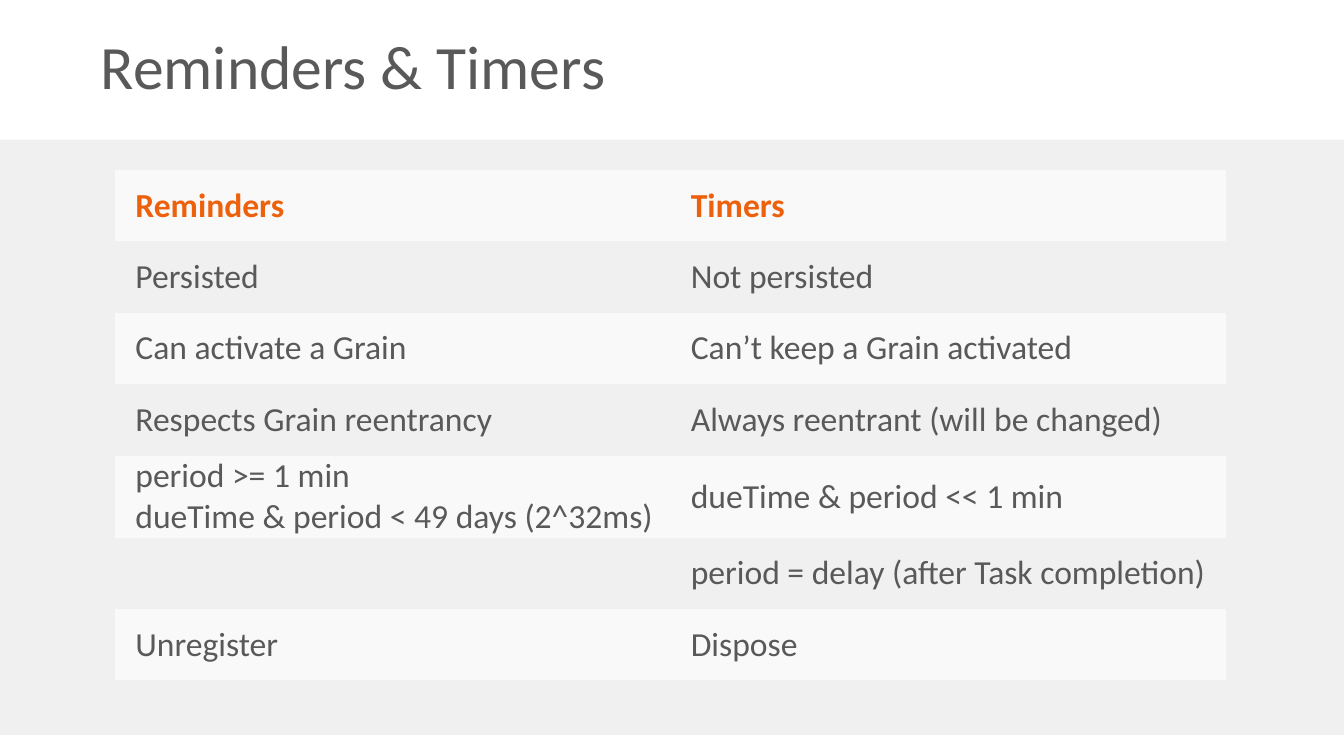
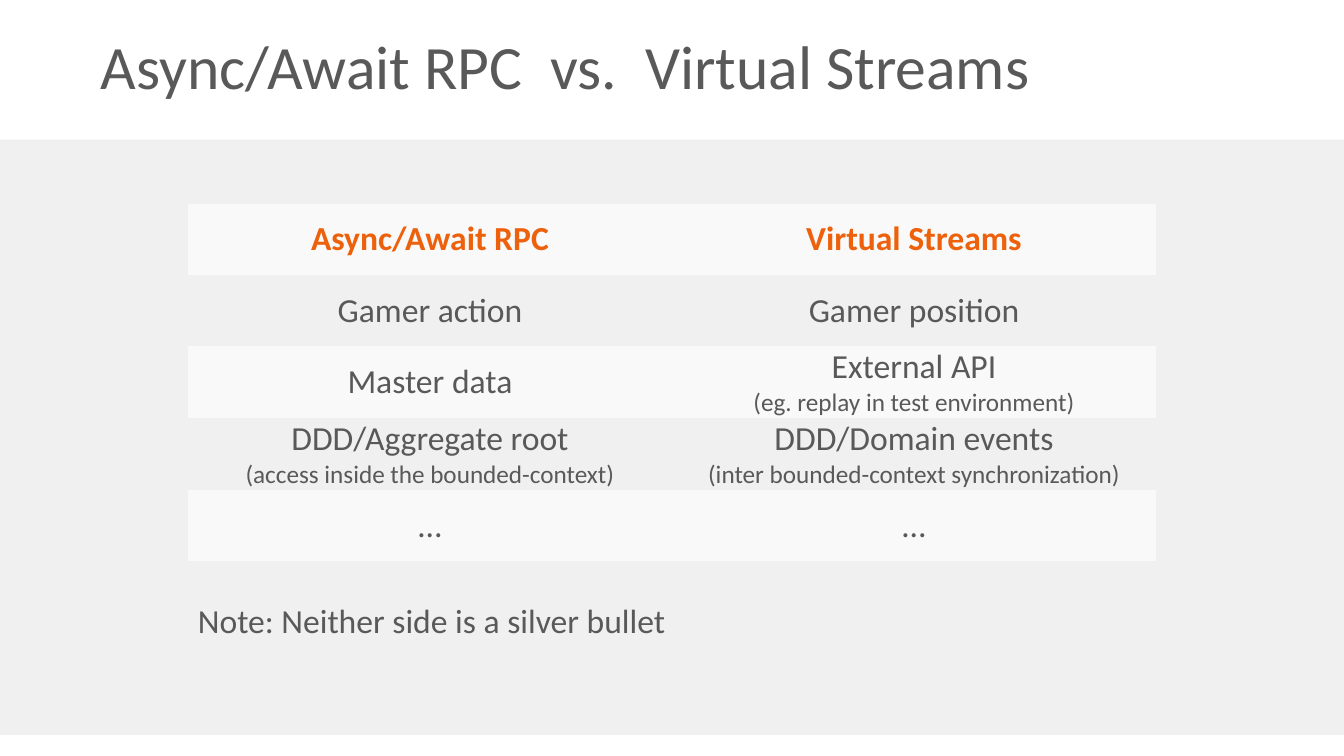
from dataclasses import dataclass
from typing import Any

from pptx import Presentation
from pptx.dml.color import RGBColor
from pptx.enum.shapes import MSO_SHAPE
from pptx.enum.text import MSO_ANCHOR, PP_ALIGN
from pptx.oxml.ns import qn
from pptx.util import Pt

# Shared scale, palette and formats
PX = 9525
SLIDE_WIDTH, SLIDE_HEIGHT = 1280, 720
TITLE_HEIGHT, FOOTER_HEIGHT = 133, 20
ROW_HEIGHT = 68

BACKGROUND = RGBColor(0xF0, 0xF0, 0xF0)
WHITE = RGBColor(0xFF, 0xFF, 0xFF)
STRIPE = RGBColor(0xF9, 0xF9, 0xF9)
TEXT = RGBColor(0x59, 0x59, 0x59)
ACCENT = RGBColor(0xED, 0x61, 0x0C)
NO_STYLE_NO_GRID = "{2D5ABB26-0587-4C30-8999-92F81FD0307C}"

TITLE_FONT = {"name": "Calibri", "size": Pt(44), "bold": False}
BODY_FONT = {"name": "Calibri", "size": Pt(24), "bold": False}
HEADER_FONT = BODY_FONT | {"bold": True}
DETAIL_FONT = BODY_FONT | {"size": Pt(18)}


@dataclass(frozen=True)
class Box:
    left: int
    top: int
    width: int
    height: int

    def emu(self) -> tuple[int, ...]:
        return tuple(value * PX for value in (self.left, self.top, self.width, self.height))


@dataclass(frozen=True)
class Comparison:
    """A two-column table; a parenthesised second line is set smaller."""
    title: str
    left: int
    top: int
    width: int
    insets: tuple[int, int]
    alignment: PP_ALIGN
    rows: tuple[tuple[str, str], ...]
    note: str = ""


COMPARISONS = (
    Comparison(
        "Reminders & Timers", 110, 162, 1058, (19, 7), PP_ALIGN.LEFT,
        (
            ("Reminders", "Timers"),
            ("Persisted", "Not persisted"),
            ("Can activate a Grain", "Can’t keep a Grain activated"),
            ("Respects Grain reentrancy", "Always reentrant (will be changed)"),
            ("period >= 1 min\ndueTime & period < 49 days (2^32ms)", "dueTime & period << 1 min"),
            ("", "period = delay (after Task completion)"),
            ("Unregister", "Dispose"),
        ),
    ),
    Comparison(
        "Async/Await RPC  vs.  Virtual Streams", 179, 194, 922, (12, 12), PP_ALIGN.CENTER,
        (
            ("Async/Await RPC", "Virtual Streams"),
            ("Gamer action", "Gamer position"),
            ("Master data", "External API\n(eg. replay in test environment)"),
            ("DDD/Aggregate root\n(access inside the bounded-context)",
             "DDD/Domain events\n(inter bounded-context synchronization)"),
            ("…", "…"),
        ),
        note="Note: Neither side is a silver bullet",
    ),
)


def set_format(target: Any, values: dict[str, Any]) -> None:
    for name, value in values.items():
        setattr(target, name, value)


def write_line(paragraph: Any, text: str, font: dict[str, Any], color: RGBColor = TEXT,
               **paragraph_format: Any) -> None:
    run = paragraph.add_run()
    run.text = text
    set_format(run.font, font)
    run.font.color.rgb = color
    set_format(paragraph, paragraph_format)


def add_band(slide: Any, box: Box) -> Any:
    band = slide.shapes.add_shape(MSO_SHAPE.RECTANGLE, *box.emu())
    band.shadow.inherit = False
    band.fill.solid()
    band.fill.fore_color.rgb = WHITE
    band.line.fill.background()
    return band


def add_frame(slide: Any, title: str) -> None:
    # Background, footer band and title band
    slide.background.fill.solid()
    slide.background.fill.fore_color.rgb = BACKGROUND
    add_band(slide, Box(0, SLIDE_HEIGHT - FOOTER_HEIGHT, SLIDE_WIDTH, FOOTER_HEIGHT))
    frame = add_band(slide, Box(0, 0, SLIDE_WIDTH, TITLE_HEIGHT)).text_frame
    set_format(frame, {
        "word_wrap": True, "vertical_anchor": MSO_ANCHOR.MIDDLE,
        "margin_left": 96 * PX, "margin_right": 10 * PX,
        "margin_top": 5 * PX, "margin_bottom": 5 * PX,
    })
    write_line(frame.paragraphs[0], title, TITLE_FONT, alignment=PP_ALIGN.LEFT, line_spacing=0.9)


def fill_cell(cell: Any, text: str, row_index: int, comparison: Comparison) -> None:
    left_inset, right_inset = comparison.insets
    set_format(cell, {
        "vertical_anchor": MSO_ANCHOR.MIDDLE, "margin_top": 0, "margin_bottom": 0,
        "margin_left": left_inset * PX, "margin_right": right_inset * PX,
    })
    # Every other row is striped, starting with the header
    if row_index % 2 == 0:
        cell.fill.solid()
        cell.fill.fore_color.rgb = STRIPE
    else:
        cell.fill.background()
    if not text:
        return
    frame = cell.text_frame
    for index, line in enumerate(text.split("\n")):
        paragraph = frame.add_paragraph() if index else frame.paragraphs[0]
        font = DETAIL_FONT if line.startswith("(") else BODY_FONT
        color = TEXT
        if row_index == 0:
            font, color = HEADER_FONT, ACCENT
        write_line(paragraph, line, font, color, alignment=comparison.alignment)


def add_comparison_table(slide: Any, comparison: Comparison) -> None:
    rows = comparison.rows
    box = Box(comparison.left, comparison.top, comparison.width, len(rows) * ROW_HEIGHT)
    graphic_frame = slide.shapes.add_table(len(rows), len(rows[0]), *box.emu())
    table = graphic_frame.table
    set_format(table, {"first_row": False, "horz_banding": False})
    # Remove the grid of the default style
    for style in graphic_frame.element.iter(qn("a:tableStyleId")):
        style.text = NO_STYLE_NO_GRID
    for row_index, row in enumerate(rows):
        for column_index, text in enumerate(row):
            fill_cell(table.cell(row_index, column_index), text, row_index, comparison)


def add_note(slide: Any, text: str, box: Box) -> None:
    frame = slide.shapes.add_textbox(*box.emu()).text_frame
    frame.word_wrap = True
    write_line(frame.paragraphs[0], text, BODY_FONT, line_spacing=0.9, space_before=Pt(10))


def main() -> None:
    presentation = Presentation()
    presentation.slide_width = SLIDE_WIDTH * PX
    presentation.slide_height = SLIDE_HEIGHT * PX
    blank_layout = presentation.slide_layouts[6]
    for comparison in COMPARISONS:
        slide = presentation.slides.add_slide(blank_layout)
        add_frame(slide, comparison.title)
        add_comparison_table(slide, comparison)
        if comparison.note:
            add_note(slide, comparison.note, Box(comparison.left, 571, comparison.width, 98))
    presentation.save("out.pptx")


if __name__ == "__main__":
    main()
